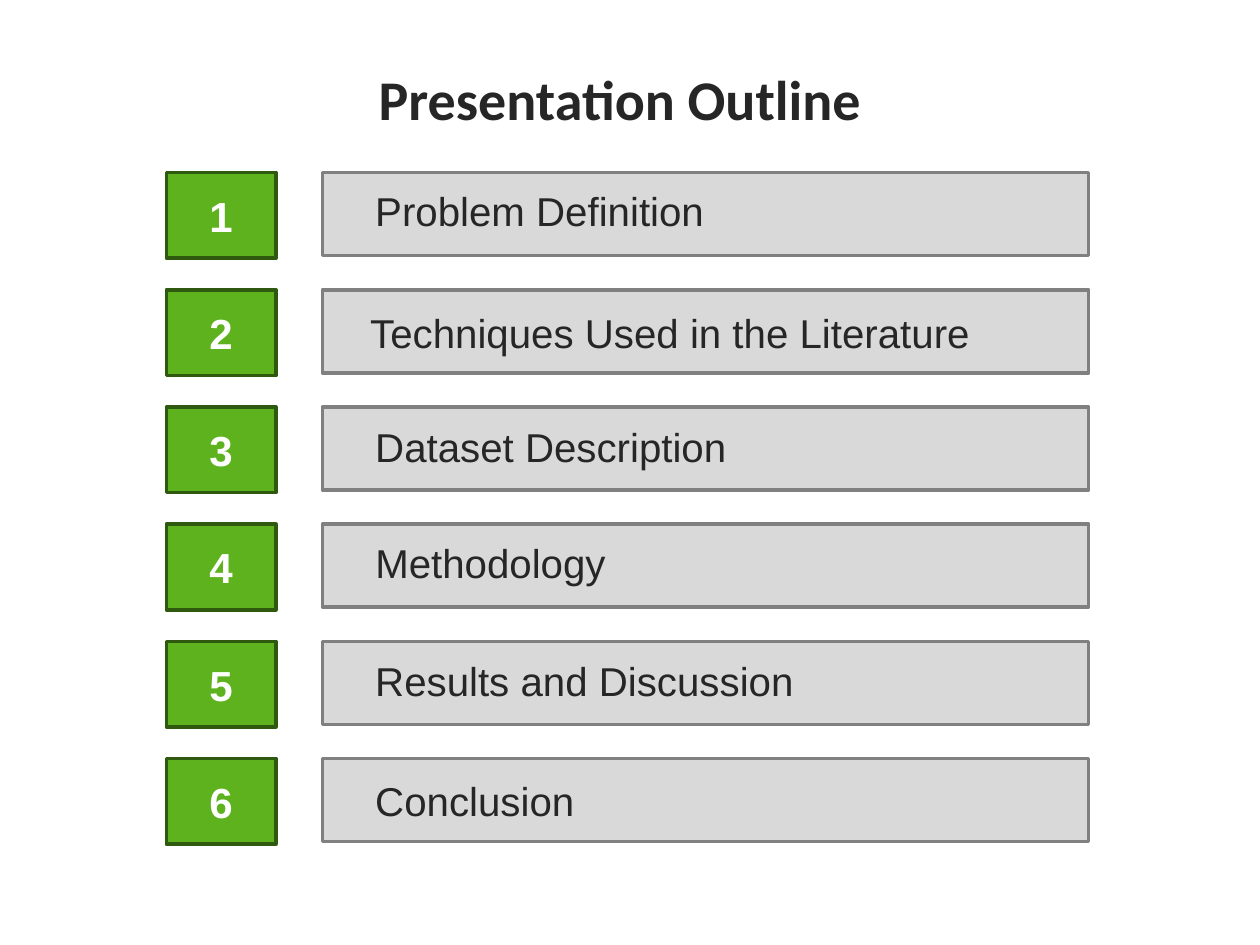
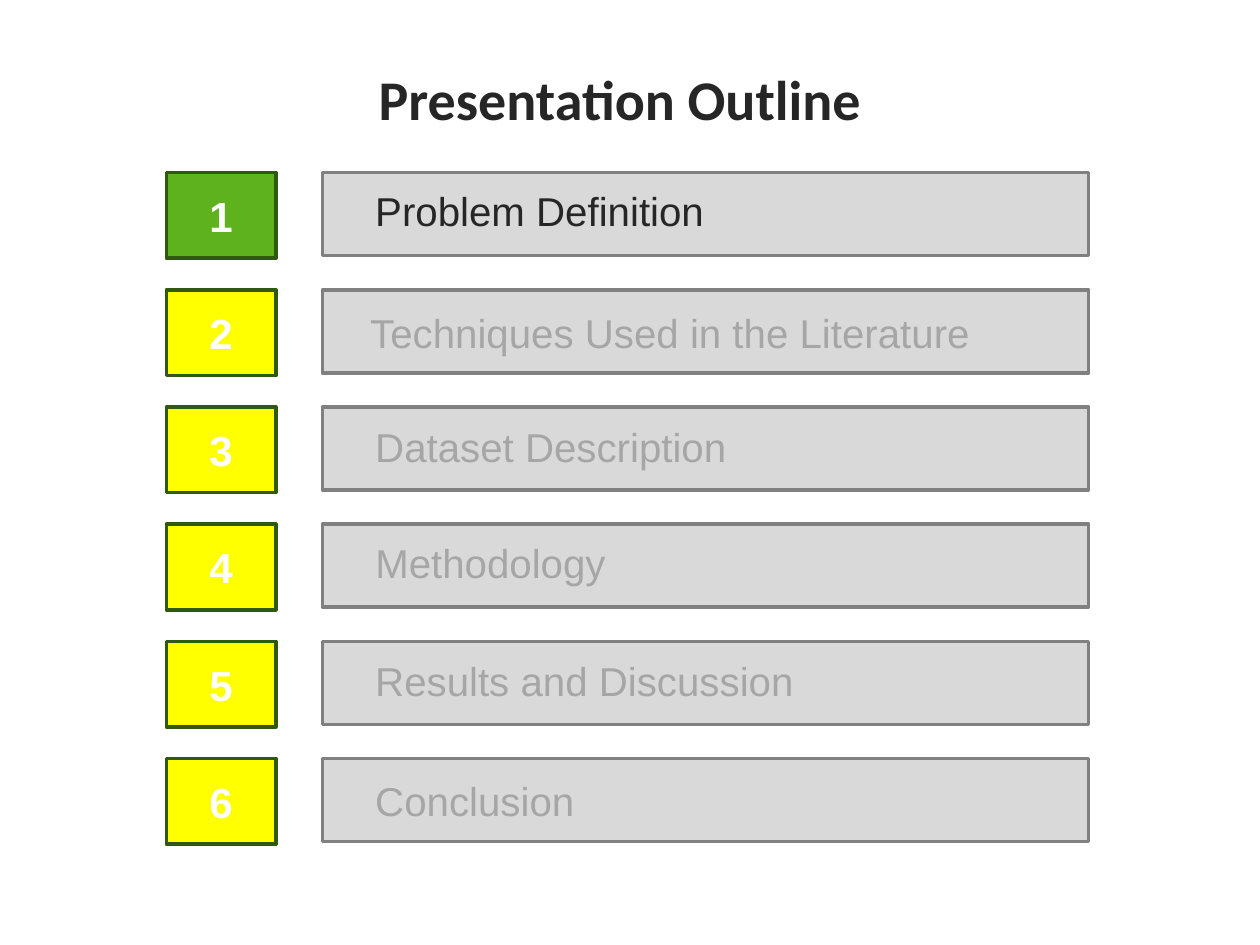
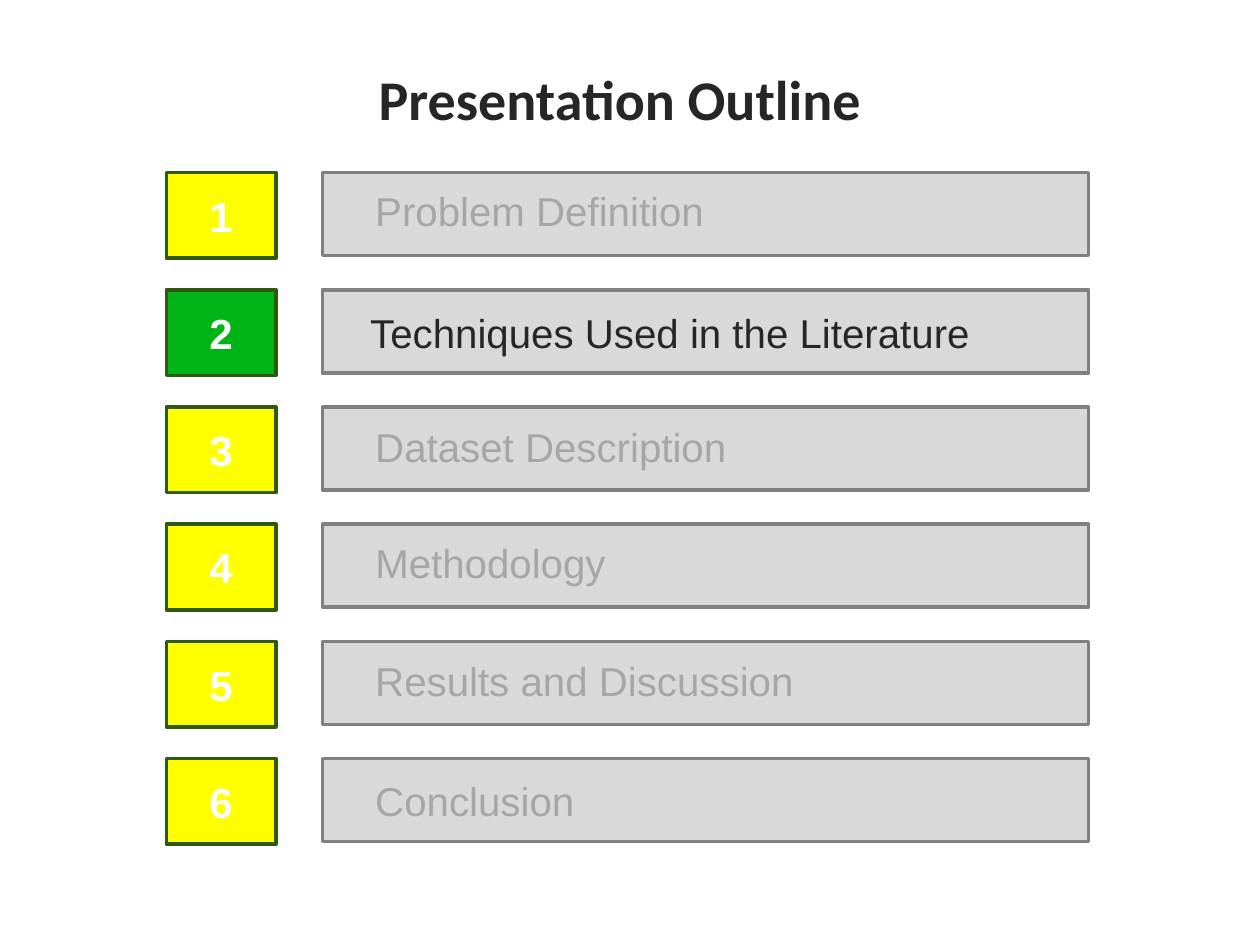
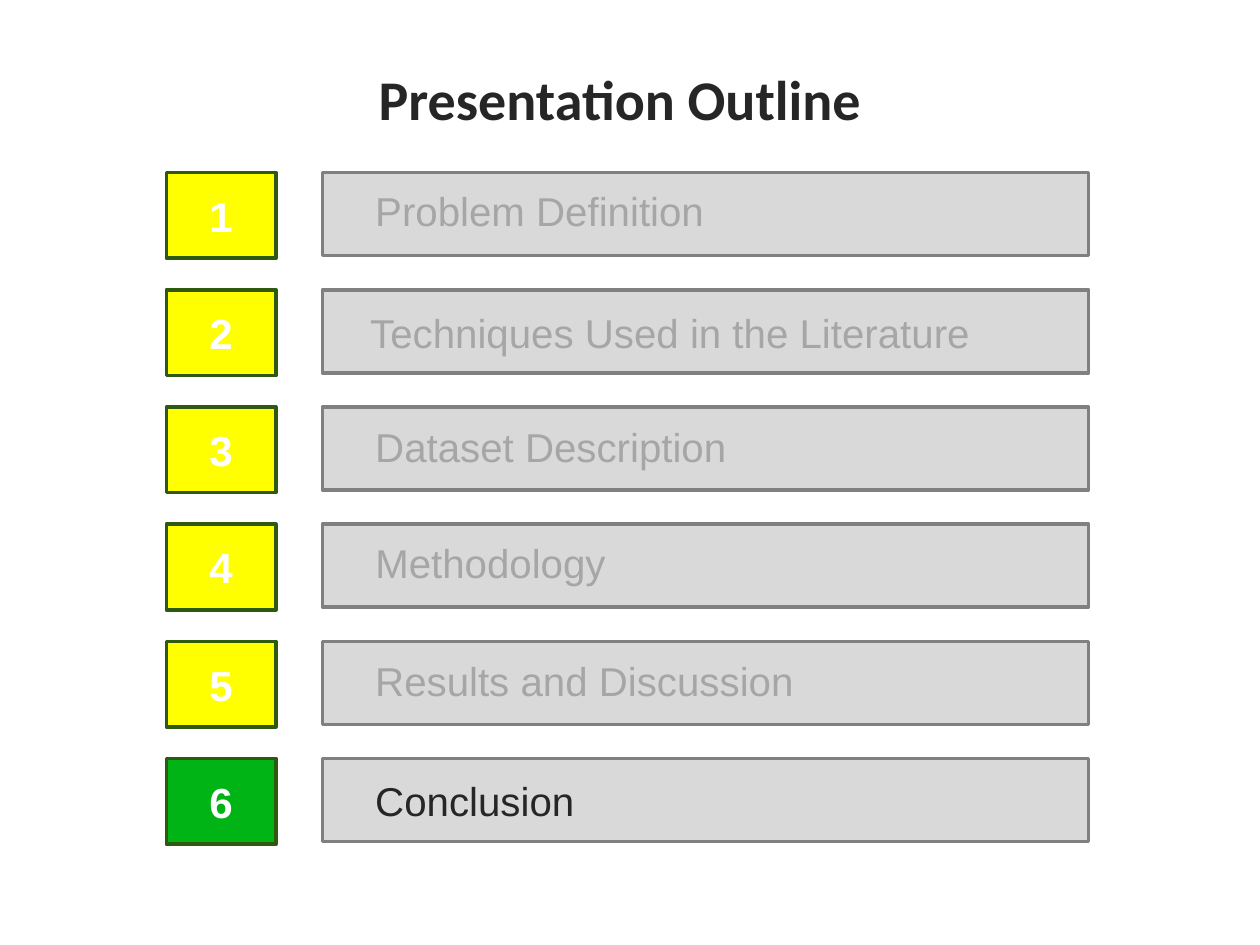
from dataclasses import dataclass

from pptx import Presentation
from pptx import util as u
from pptx.dml.color import RGBColor
from pptx.enum import shapes, text


@dataclass(frozen=True)
class Theme:
    heading_font: str = "Calibri"
    body_font: str = "Arial"
    title_size: int = 32
    number_size: int = 24
    label_size: int = 23
    line_width: int = 2
    ink: str = "262626"
    muted: str = "A6A6A6"
    white: str = "FFFFFF"
    bar_fill: str = "D9D9D9"
    bar_line: str = "808080"
    number_line: str = "2E590F"
    leaf: str = "5DB21E"
    emerald: str = "00B415"
    waiting: str = "FFFF00"


theme = Theme()


def add_box(page, left, top, width, height, fill, line):
    box = page.shapes.add_shape(
        shapes.MSO_SHAPE.RECTANGLE,
        u.Inches(left), u.Inches(top), u.Inches(width), u.Inches(height))
    box.shadow.inherit = False
    box.fill.solid()
    box.fill.fore_color.rgb = RGBColor.from_string(fill)
    box.line.color.rgb = RGBColor.from_string(line)
    box.line.width = u.Pt(theme.line_width)
    return box


def write(box, words, font, size, color, bold, align, anchor):
    frame = box.text_frame
    frame.word_wrap = True
    frame.vertical_anchor = anchor
    para = frame.paragraphs[0]
    para.alignment = align
    span = para.add_run()
    span.text = words
    span.font.name = font
    span.font.size = u.Pt(size)
    span.font.bold = bold
    span.font.color.rgb = RGBColor.from_string(color)


first_row_top = 1.37
row_pitch = 0.93
sections = [
    ("Problem Definition", 2.88, 0.06, 4.84),
    ("Techniques Used in the Literature", 2.84, 0.1, 5),
    ("Dataset Description", 2.88, 0.07, 5),
    ("Methodology", 2.88, 0.06, 4.92),
    ("Results and Discussion", 2.88, 0.07, 4.6),
    ("Conclusion", 2.88, 0.09, 4.84),
]
outlines = [
    ({1, 2, 3, 4, 5, 6}, theme.leaf),
    ({1}, theme.leaf),
    ({2}, theme.emerald),
    ({6}, theme.emerald),
]

deck = Presentation()
deck.slide_width = u.Inches(10)
deck.slide_height = u.Inches(7.5)
title_only = deck.slide_layouts[5]

for active_sections, active_fill in outlines:
    page = deck.slides.add_slide(title_only)
    title = page.shapes.title
    title.left, title.top = u.Inches(1.42), u.Inches(0.46)
    title.width, title.height = u.Inches(7), u.Inches(0.64)
    write(title, "Presentation Outline", theme.heading_font, theme.title_size,
          theme.ink, True, text.PP_ALIGN.CENTER, text.MSO_ANCHOR.TOP)
    title.text_frame.auto_size = text.MSO_AUTO_SIZE.SHAPE_TO_FIT_TEXT

    for number, (name, left, drop, width) in enumerate(sections, 1):
        active = number in active_sections
        top = first_row_top + (number - 1) * row_pitch

        add_box(page, 2.56, top, 6.08, 0.66, theme.bar_fill, theme.bar_line)
        number_box = add_box(page, 1.32, top, 0.87, 0.68,
                             active_fill if active else theme.waiting,
                             theme.number_line)
        write(number_box, str(number), theme.body_font, theme.number_size,
              theme.white, True, text.PP_ALIGN.CENTER, text.MSO_ANCHOR.MIDDLE)

        label = page.shapes.add_textbox(
            u.Inches(left), u.Inches(top + drop), u.Inches(width), u.Inches(0.49))
        write(label, name, theme.body_font, theme.label_size,
              theme.ink if active else theme.muted, False,
              text.PP_ALIGN.LEFT, text.MSO_ANCHOR.TOP)
        label.text_frame.auto_size = text.MSO_AUTO_SIZE.SHAPE_TO_FIT_TEXT

deck.save("out.pptx")
